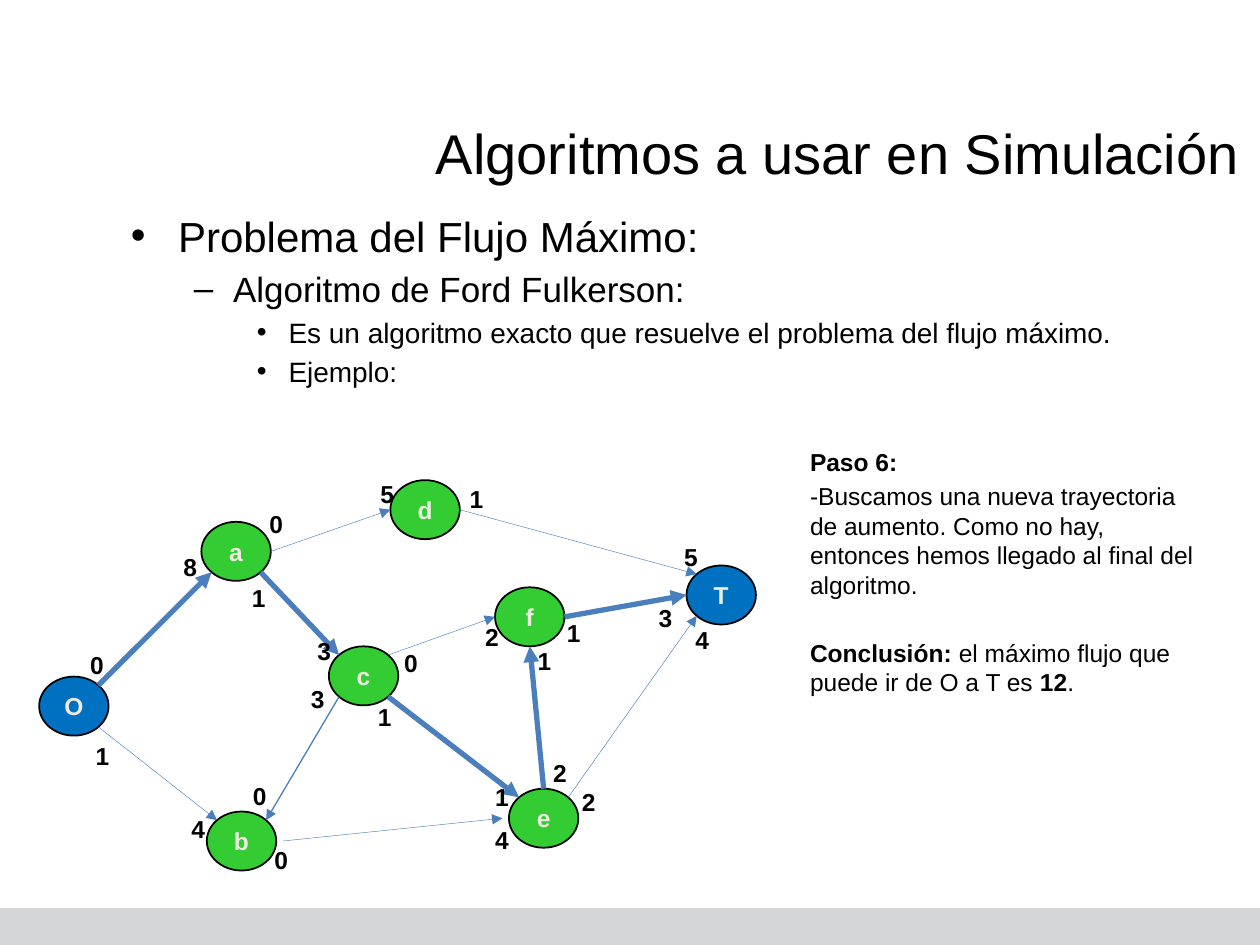
from math import cos, radians, sin

from lxml.etree import SubElement
from pptx import Presentation
from pptx.dml.color import RGBColor
from pptx.enum.shapes import MSO_CONNECTOR, MSO_SHAPE
from pptx.enum.text import MSO_ANCHOR, MSO_AUTO_SIZE, PP_ALIGN
from pptx.oxml.ns import qn
from pptx.util import Cm, Pt

BLACK = RGBColor(0x00, 0x00, 0x00)
CREAM = RGBColor(0xEE, 0xEC, 0xE1)
GREEN = RGBColor(0x33, 0xCC, 0x33)
BLUE = RGBColor(0x00, 0x70, 0xC0)
ARROW_BLUE = RGBColor(0x4B, 0x7E, 0xBC)
GREY = RGBColor(0xD5, 0xD6, 0xD7)
FONT = "Arial"

# Content: lengths in centimetres, sizes and line widths in points
TITLE = "Algoritmos a usar en Simulación"
OUTLINE = [
    (0, "Problema del Flujo Máximo:"),
    (1, "Algoritmo de Ford Fulkerson:"),
    (2, "Es un algoritmo exacto que resuelve el problema del flujo máximo."),
    (2, "Ejemplo:"),
]
# Per level: size, bullet, left margin, hanging indent
LEVELS = [(24, "•", 0.95, 0.95), (20, "–", 2.06, 0.79), (16, "•", 3.18, 0.64)]

# Space before each paragraph, then its (text, bold) spans
EXPLANATION = [
    (2.8, [("Paso 6:", True)]),
    (2.8, [("-Buscamos una nueva trayectoria de aumento. Como no hay, "
            "entonces hemos llegado al final del algoritmo.", False)]),
    (22, [("Conclusión: ", True), ("el máximo flujo que puede ir de O a T es ", False),
          ("12", True), (".", False)]),
]

NODE_WIDTH, NODE_HEIGHT = 1.4, 1.19
NODES = {
    "O": (0.79, 13.64), "a": (4.06, 10.52), "b": (4.17, 16.36), "T": (13.84, 11.4),
    "c": (6.63, 13.03), "d": (7.87, 9.68), "f": (9.98, 11.84), "e": (10.26, 15.9),
}
TERMINALS = "OT"

# Points on a node's outline, as angles running clockwise from the right
SITES = {"right": 0, "lower right": 45, "bottom": 90, "lower left": 135,
         "left": 180, "upper left": 225, "top": 270, "upper right": 315}
THIN, MEDIUM, THICK = 0.25, 0.75, 3
# From node and site, to node and site, line width, gap at both ends,
# then residual capacity (value, left, top) near each end
EDGES = [
    ("O", "upper right", "a", "lower left", THICK, 0, ("0", 1.57, 12.98), ("8", 3.45, 11)),
    ("O", "lower right", "b", "upper left", THIN, 0, ("1", 1.68, 14.81), ("4", 3.61, 16.28)),
    ("a", "right", "d", "left", THIN, 0, ("0", 5.18, 10.13), ("5", 7.42, 9.53)),
    ("a", "lower right", "c", "upper left", THICK, 0, ("1", 4.83, 11.63), ("3", 6.15, 12.7)),
    ("c", "lower left", "b", "upper right", MEDIUM, 0, ("3", 6.02, 13.67), ("0", 4.85, 15.62)),
    ("c", "upper right", "f", "left", THIN, 0, ("0", 7.9, 12.93), ("2", 9.53, 12.42)),
    ("c", "lower right", "e", "upper left", THICK, 0, ("1", 7.37, 14.02), ("1", 9.73, 15.65)),
    ("b", "right", "e", "left", THIN, 0.13, ("0", 5.28, 16.92), ("4", 9.73, 16.51)),
    ("f", "right", "T", "left", THICK, 0, ("1", 11.18, 12.34), ("3", 13.03, 12.04)),
    ("e", "top", "f", "bottom", THICK, 0, ("2", 10.9, 15.16), ("1", 10.59, 12.9)),
    ("e", "upper right", "T", "lower left", THIN, 0, ("2", 11.48, 15.75), ("4", 13.77, 12.47)),
    ("d", "right", "T", "upper left", THIN, 0, ("1", 9.22, 9.63), ("5", 13.54, 10.8)),
]


def format_span(span, size, color=BLACK, bold=False):
    span.font.name = FONT
    span.font.size = Pt(size)
    span.font.bold = bold
    span.font.color.rgb = color


def add_box(page, left, top, width, height, wrap=True):
    box = page.shapes.add_textbox(Cm(left), Cm(top), Cm(width), Cm(height))
    box.text_frame.word_wrap = wrap
    return box.text_frame


def next_paragraph(frame, index):
    return frame.add_paragraph() if index else frame.paragraphs[0]


def add_title(page):
    title = page.shapes.title
    title.left, title.top, title.width, title.height = Cm(2.39), Cm(2.11), Cm(22.86), Cm(1.9)
    frame = title.text_frame
    frame.text = TITLE
    frame.auto_size = MSO_AUTO_SIZE.NONE
    frame.vertical_anchor = MSO_ANCHOR.MIDDLE
    frame.paragraphs[0].alignment = PP_ALIGN.RIGHT
    format_span(frame.paragraphs[0].runs[0], 32)


def add_outline(page):
    frame = add_box(page, 2.39, 4.11, 22.86, 6)
    for index, (level, text) in enumerate(OUTLINE):
        size, bullet, margin, hanging = LEVELS[level]
        para = next_paragraph(frame, index)
        para.text = text
        para.level = level
        para.space_before = Pt(size * 0.2)
        format_span(para.runs[0], size)
        properties = para._p.get_or_add_pPr()
        properties.set("marL", str(Cm(margin)))
        properties.set("indent", str(-Cm(hanging)))
        SubElement(properties, qn("a:buFont"), typeface=FONT)
        SubElement(properties, qn("a:buChar"), char=bullet)


def add_explanation(page):
    frame = add_box(page, 16.08, 8.89, 8.48, 6.12)
    for index, (space, spans) in enumerate(EXPLANATION):
        para = next_paragraph(frame, index)
        para.space_before = Pt(space)
        for text, bold in spans:
            span = para.add_run()
            span.text = text
            format_span(span, 14, bold=bold)


def add_node(page, name, left, top):
    node = page.shapes.add_shape(
        MSO_SHAPE.OVAL, Cm(left), Cm(top), Cm(NODE_WIDTH), Cm(NODE_HEIGHT))
    node.shadow.inherit = False
    node.fill.solid()
    node.fill.fore_color.rgb = BLUE if name in TERMINALS else GREEN
    node.line.color.rgb = BLACK
    node.line.width = Pt(1)
    frame = node.text_frame
    frame.text = name
    frame.word_wrap = False
    frame.vertical_anchor = MSO_ANCHOR.MIDDLE
    frame.paragraphs[0].alignment = PP_ALIGN.CENTER
    format_span(frame.paragraphs[0].runs[0], 14, CREAM, True)


def site_point(name, site, gap):
    left, top = NODES[name]
    angle = radians(SITES[site])
    return (Cm(left + NODE_WIDTH / 2 + (NODE_WIDTH / 2 + gap) * cos(angle)),
            Cm(top + NODE_HEIGHT / 2 + (NODE_HEIGHT / 2 + gap) * sin(angle)))


def add_arrow(page, start, end, width):
    arrow = page.shapes.add_connector(MSO_CONNECTOR.STRAIGHT, *start, *end)
    arrow.line.color.rgb = ARROW_BLUE
    arrow.line.width = Pt(width)
    SubElement(arrow.line._get_or_add_ln(), qn("a:tailEnd"), type="triangle")
    SubElement(arrow._element.spPr, qn("a:effectLst"))


def add_capacity(page, value, left, top):
    frame = add_box(page, left, top, 0.79, 0.86, wrap=False)
    frame.text = value
    format_span(frame.paragraphs[0].runs[0], 14, bold=True)


def main():
    deck = Presentation()
    deck.slide_width, deck.slide_height = Cm(25.4), Cm(19.05)
    page = deck.slides.add_slide(deck.slide_layouts[5])

    # Footer band
    band = page.shapes.add_shape(MSO_SHAPE.RECTANGLE, 0, Cm(18.31), Cm(25.4), Cm(0.74))
    band.shadow.inherit = False
    band.fill.solid()
    band.fill.fore_color.rgb = GREY
    band.line.fill.background()

    # Texts
    add_title(page)
    add_outline(page)
    add_explanation(page)

    # Flow network
    for name, (left, top) in NODES.items():
        add_node(page, name, left, top)
    for source, leaving, target, entering, width, gap, *capacities in EDGES:
        add_arrow(page, site_point(source, leaving, gap),
                  site_point(target, entering, gap), width)
        for capacity in capacities:
            add_capacity(page, *capacity)

    deck.save("out.pptx")


if __name__ == "__main__":
    main()
